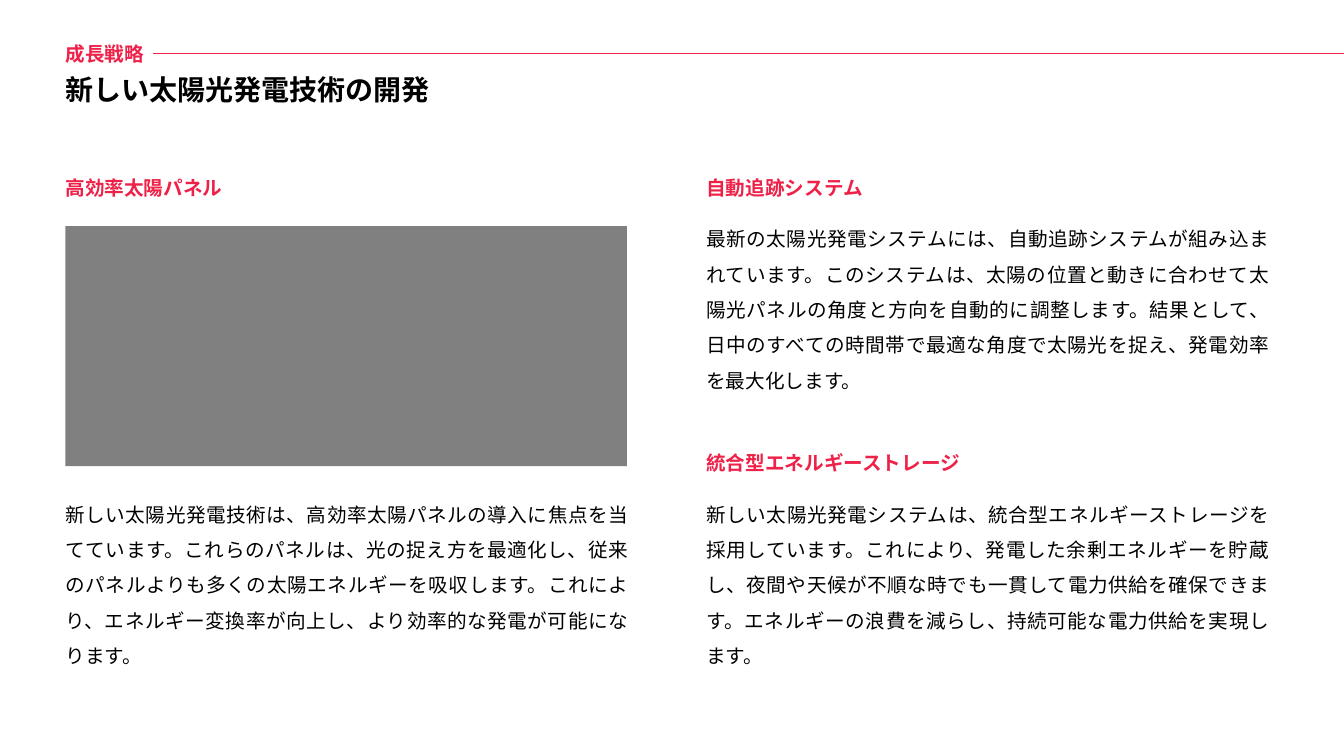
from dataclasses import dataclass

from lxml import etree
from pptx import Presentation
from pptx.dml.color import RGBColor
from pptx.enum.shapes import MSO_CONNECTOR, MSO_SHAPE
from pptx.enum.text import MSO_AUTO_SIZE, PP_ALIGN
from pptx.oxml.ns import qn
from pptx.slide import Slide
from pptx.util import Cm, Pt

RECTANGLE = MSO_SHAPE.RECTANGLE
STRAIGHT = MSO_CONNECTOR.STRAIGHT
FIT_SHAPE = MSO_AUTO_SIZE.SHAPE_TO_FIT_TEXT
LEFT, JUSTIFY = PP_ALIGN.LEFT, PP_ALIGN.JUSTIFY

COLORS = {"accent": "EE2249", "text": "000000", "panel": "808080", "white": "FFFFFF"}
FONT = "Noto Sans CJK JP"

# Layout in centimetres
SLIDE_WIDTH, SLIDE_HEIGHT = 33.87, 19.05
LEFT_COLUMN, RIGHT_COLUMN = 1.4, 17.55
UPPER_ROW, LOWER_ROW = 4.01, 10.95
HEADING_HEIGHT = 1.04
BODY_OFFSET, BODY_WIDTH, BODY_HEIGHT = 1.3, 14.68, 4.65


@dataclass
class TextBlock:
    text: str
    left: float
    top: float
    width: float
    height: float
    size: int = 14
    color: str = "text"
    bold: bool = False
    align: PP_ALIGN = LEFT
    line_spacing: float = 1.0
    fill: str = ""


def heading(text: str, left: float, top: float, width: float) -> TextBlock:
    return TextBlock(text, left, top, width, HEADING_HEIGHT,
                     color="accent", bold=True, line_spacing=1.5)


def body(text: str, left: float, row: float) -> TextBlock:
    return TextBlock(text, left, row + BODY_OFFSET, BODY_WIDTH, BODY_HEIGHT,
                     align=JUSTIFY, line_spacing=1.5)


TEXT_BLOCKS = [
    # Left column
    heading("高効率太陽パネル", LEFT_COLUMN, UPPER_ROW, 6.35),
    body("新しい太陽光発電技術は、高効率太陽パネルの導入に焦点を当てています。"
         "これらのパネルは、光の捉え方を最適化し、従来のパネルよりも多くの太陽エネルギーを吸収します。"
         "これにより、エネルギー変換率が向上し、より効率的な発電が可能になります。",
         LEFT_COLUMN, LOWER_ROW),
    # Right column
    heading("自動追跡システム", RIGHT_COLUMN, UPPER_ROW, 6.35),
    body("最新の太陽光発電システムには、自動追跡システムが組み込まれています。"
         "このシステムは、太陽の位置と動きに合わせて太陽光パネルの角度と方向を自動的に調整します。"
         "結果として、日中のすべての時間帯で最適な角度で太陽光を捉え、発電効率を最大化します。",
         RIGHT_COLUMN, UPPER_ROW),
    heading("統合型エネルギーストレージ", RIGHT_COLUMN, LOWER_ROW, 8.69),
    body("新しい太陽光発電システムは、統合型エネルギーストレージを採用しています。"
         "これにより、発電した余剰エネルギーを貯蔵し、夜間や天候が不順な時でも一貫して電力供給を確保できます。"
         "エネルギーの浪費を減らし、持続可能な電力供給を実現します。",
         RIGHT_COLUMN, LOWER_ROW),
    # Section label and title
    TextBlock("成長戦略", LEFT_COLUMN, 0.92, 6.58, 0.86,
              color="accent", bold=True, fill="white"),
    TextBlock("新しい太陽光発電技術の開発", LEFT_COLUMN, 1.7, 12.1, 1.11,
              size=20, bold=True),
]


def rgb(name: str) -> RGBColor:
    return RGBColor.from_string(COLORS[name])


def add_text(slide: Slide, block: TextBlock) -> None:
    shape = slide.shapes.add_textbox(Cm(block.left), Cm(block.top),
                                     Cm(block.width), Cm(block.height))
    if block.fill:
        shape.fill.solid()
        shape.fill.fore_color.rgb = rgb(block.fill)
    frame = shape.text_frame
    frame.word_wrap = True
    frame.auto_size = FIT_SHAPE
    paragraph = frame.paragraphs[0]
    paragraph.text = block.text
    paragraph.alignment = block.align
    paragraph.line_spacing = block.line_spacing
    font = paragraph.font
    font.size = Pt(block.size)
    font.bold = block.bold
    font.color.rgb = rgb(block.color)
    font.name = FONT
    # Japanese text takes the East Asian typeface
    properties = paragraph._p.pPr.find(qn("a:defRPr"))
    etree.SubElement(properties, qn("a:ea")).set("typeface", FONT)


def add_image_panel(slide: Slide) -> None:
    panel = slide.shapes.add_shape(RECTANGLE, Cm(1.65), Cm(5.7), Cm(14.15), Cm(6.05))
    panel.shadow.inherit = False
    panel.fill.solid()
    panel.fill.fore_color.rgb = rgb("panel")
    panel.line.fill.background()


def add_title_rule(slide: Slide) -> None:
    rule = slide.shapes.add_connector(STRAIGHT, Cm(3.86), Cm(1.35),
                                      Cm(SLIDE_WIDTH), Cm(1.35))
    rule.line.color.rgb = rgb("accent")
    rule.line.width = Pt(1.25)
    etree.SubElement(rule._element.spPr, qn("a:effectLst"))


def main() -> None:
    presentation = Presentation()
    presentation.slide_width = Cm(SLIDE_WIDTH)
    presentation.slide_height = Cm(SLIDE_HEIGHT)
    slide = presentation.slides.add_slide(presentation.slide_layouts[6])
    add_image_panel(slide)
    for block in TEXT_BLOCKS:
        add_text(slide, block)
    add_title_rule(slide)
    presentation.save("out.pptx")


if __name__ == "__main__":
    main()
